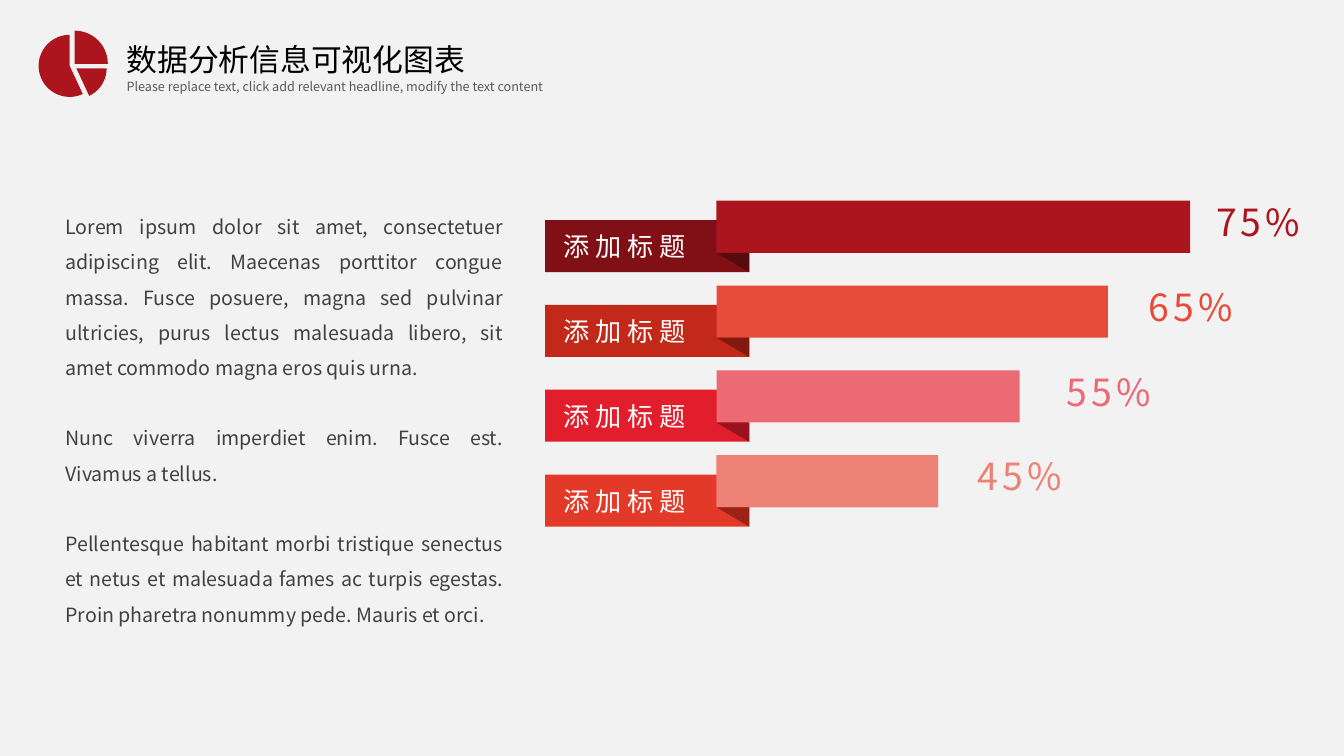
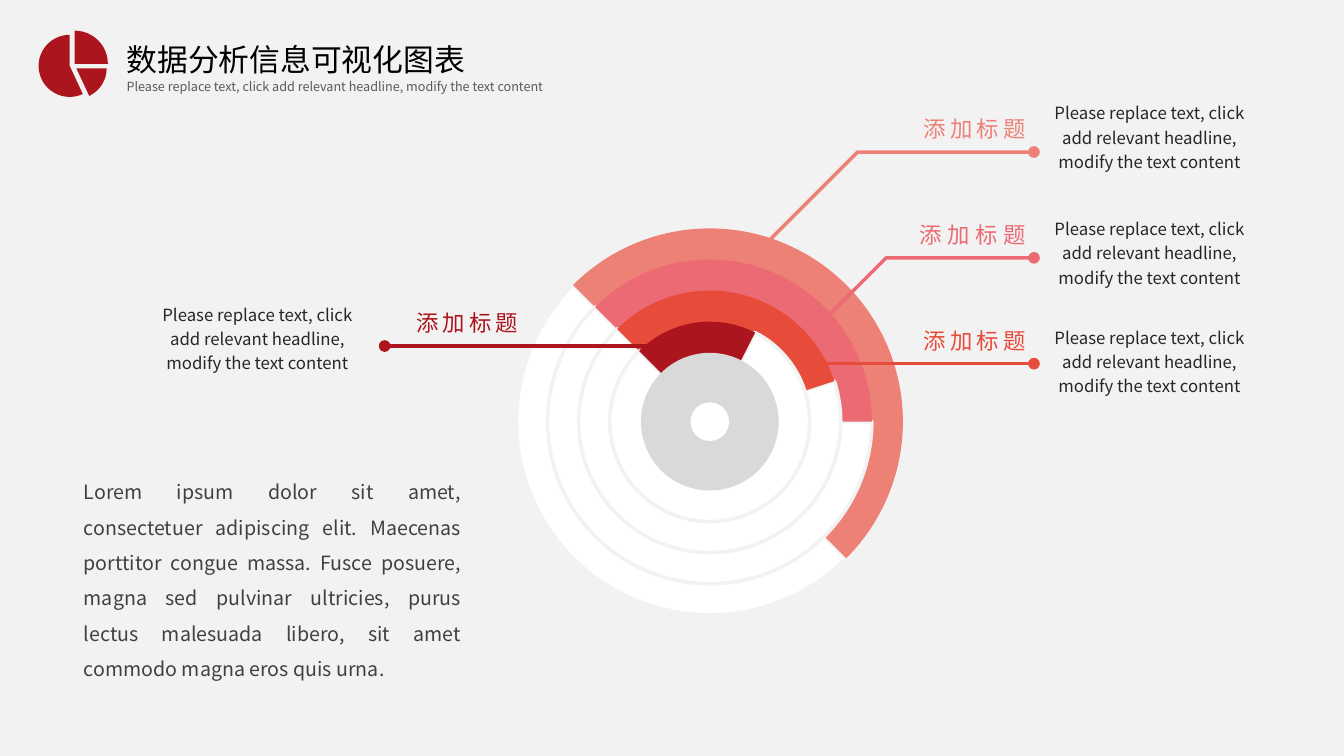
from lxml import etree
from pptx import Presentation
from pptx.dml.color import RGBColor
from pptx.enum.shapes import MSO_CONNECTOR, MSO_SHAPE
from pptx.enum.text import MSO_ANCHOR, PP_ALIGN
from pptx.oxml.ns import qn
from pptx.util import Inches, Pt

RECT, OVAL, PIE = MSO_SHAPE.RECTANGLE, MSO_SHAPE.OVAL, MSO_SHAPE.PIE
STRAIGHT = MSO_CONNECTOR.STRAIGHT
LEFT, CENTER, RIGHT, JUSTIFY = PP_ALIGN.LEFT, PP_ALIGN.CENTER, PP_ALIGN.RIGHT, PP_ALIGN.JUSTIFY
TOP, MIDDLE = MSO_ANCHOR.TOP, MSO_ANCHOR.MIDDLE

SLIDE_W, SLIDE_H = Inches(13.333), Inches(7.5)
COLUMNS = 160
CELL = SLIDE_W / COLUMNS
FONT = "Noto Sans CJK SC"

BACKGROUND, WHITE, BLACK, HUB = "F2F2F2", "FFFFFF", "000000", "D9D9D9"
SUBTITLE, BODY, NOTE = "595959", "404040", "262626"
CRIMSON, ORANGE, ROSE, SALMON = "AC151E", "E74C3B", "EC6A73", "ED8176"

TITLE = "数据分析信息可视化图表"
LABEL = "添加标题"
PROMPT = "Please replace text, click add relevant headline, modify the text content"
LOREM = (
    "Lorem ipsum dolor sit amet, consectetuer adipiscing elit. Maecenas porttitor congue "
    "massa. Fusce posuere, magna sed pulvinar ultricies, purus lectus malesuada libero, "
    "sit amet commodo magna eros quis urna.",
    "Nunc viverra imperdiet enim. Fusce est. Vivamus a tellus.",
    "Pellentesque habitant morbi tristique senectus et netus et malesuada fames ac turpis "
    "egestas. Proin pharetra nonummy pede. Mauris et orci.",
)


def rgb(color):
    """Turn a hex string into a colour."""
    return RGBColor.from_string(color)


def cells(*lengths):
    """Turn grid cells into slide lengths."""
    return [round(length * CELL) for length in lengths]


def paint(shape, fill=None, line=None, width=2.5):
    """Set the fill and line of a shape and remove its shadow."""
    shape.shadow.inherit = False
    if fill:
        shape.fill.solid()
        shape.fill.fore_color.rgb = rgb(fill)
    else:
        shape.fill.background()
    if line:
        shape.line.color.rgb = rgb(line)
        shape.line.width = Pt(width)
    else:
        shape.line.fill.background()
    return shape


def block(slide, kind, box, fill, line=None):
    """Add a preset shape in a box of left, top, width and height."""
    return paint(slide.shapes.add_shape(kind, *cells(*box)), fill, line)


def wedge(slide, center, radius, start, end, fill, line=None):
    """Add a sector running clockwise between two angles in degrees."""
    x, y = center
    box = (x - radius, y - radius, 2 * radius, 2 * radius)
    sector = block(slide, PIE, box, fill, line)
    for index, angle in enumerate((start, end)):
        sector.adjustments[index] = angle % 360 * 0.6
    return sector


def disc(slide, center, radius, fill):
    """Add a circle about its centre."""
    x, y = center
    return block(slide, OVAL, (x - radius, y - radius, 2 * radius, 2 * radius), fill)


def outline(slide, points, close):
    """Add a freeform through points."""
    corners = [tuple(cells(*point)) for point in points]
    builder = slide.shapes.build_freeform(*corners[0])
    builder.add_line_segments(corners[1:], close=close)
    return builder.convert_to_shape()


def leader(slide, points, color):
    """Add a straight or bent line through points."""
    if len(points) > 2:
        paint(outline(slide, points, False), line=color)
        return
    line = slide.shapes.add_connector(STRAIGHT, *cells(*points[0], *points[1]))
    line.line.color.rgb = rgb(color)
    line.line.width = Pt(2.5)
    etree.SubElement(line._element.spPr, qn("a:effectLst"))


def write(shape, *paragraphs, size, color, align=LEFT, anchor=TOP, wrap=True,
          leading=1, gap=0, tracking=0):
    """Fill a shape with formatted paragraphs."""
    frame = shape.text_frame
    frame.word_wrap = wrap
    frame.vertical_anchor = anchor
    for index, text in enumerate(paragraphs):
        paragraph = frame.add_paragraph() if index else frame.paragraphs[0]
        paragraph.alignment = align
        paragraph.line_spacing = leading
        if index:
            paragraph.space_before = Pt(gap)
        run = paragraph.add_run()
        run.text = text
        run.font.size = Pt(size)
        run.font.color.rgb = rgb(color)
        run.font.name = FONT
        properties = run._r.get_or_add_rPr()
        etree.SubElement(properties, qn("a:ea"), typeface=FONT)
        if tracking:
            properties.set("spc", str(tracking * 100))
    return frame


def text_box(slide, box, *paragraphs, **style):
    """Add a text box in a box of left, top, width and height."""
    return write(slide.shapes.add_textbox(*cells(*box)), *paragraphs, **style)


def header(slide, box):
    """Place the pie emblem, the title and the subtitle."""
    x, y, width, _ = box
    for dx, dy, radius, start, end in (
        (3.5, 4.25, 3.7, 65, 270),
        (4.1, 4, 3.95, 270, 360),
        (4.3, 4.55, 3.6, 0, 65),
    ):
        wedge(slide, (x + dx, y + dy), radius, start, end, CRIMSON)
    text_width = width - 9.1
    text_box(slide, (x + 9.1, y + 0.6, text_width, 5.6), TITLE, size=22, color=BLACK)
    text_box(slide, (x + 9.1, y + 5.2, text_width, 3), PROMPT, size=9, color=SUBTITLE)


def body(slide, box, *paragraphs):
    """Place the justified running text."""
    text_box(slide, box, *paragraphs, size=14, color=BODY, align=JUSTIFY,
             leading=1.5, gap=25)


def ribbon_bars(slide, box, rows):
    """Place folded ribbon bars, each with a tag and a percentage."""
    x, y, _, height = box
    pitch = height / len(rows)
    thick, drop, tag_width, bar_left = 6.2, 2.3, 24.3, 20.4
    for index, (value, length, value_left, tag_color, color, fold_color) in enumerate(rows):
        top = y + index * pitch
        tag = block(slide, RECT, (x, top + drop, tag_width, thick), tag_color)
        frame = write(tag, LABEL, size=18.7, color=WHITE, align=CENTER, anchor=MIDDLE,
                      wrap=False, tracking=4)
        frame.margin_left, frame.margin_right = cells(0, 5.4)
        block(slide, RECT, (x + bar_left, top, length, thick), color)
        fold = ((x + bar_left, top + thick), (x + tag_width, top + thick),
                (x + tag_width, top + thick + drop))
        paint(outline(slide, fold, True), fold_color)
        text_box(slide, (x + value_left, top - 0.8, 13.2, 6.6), value, size=26.7,
                 color=color, align=CENTER, wrap=False, tracking=3)


def ring_chart(slide, box, rings):
    """Place concentric rings, outermost first, around a hub."""
    x, y, width, height = box
    center = (x + width / 2, y + height / 2)
    start, step = 225, 3.7
    for index, (sweep, color) in enumerate(rings):
        radius = width / 2 - index * step
        wedge(slide, center, radius, start + sweep, start, WHITE, BACKGROUND)
        wedge(slide, center, radius, start, start + sweep, color)
    disc(slide, center, width / 2 - len(rings) * step, HUB)
    disc(slide, center, 2.3, WHITE)


def callout(slide, dot, route, color, label_dx, note_dx, note_dy, tracking=3):
    """Place a leader ending in a dot, with its label and note."""
    x, y = dot
    leader(slide, [(x + dx, y + dy) for dx, dy in route] + [dot], color)
    disc(slide, dot, 0.7, color)
    text_box(slide, (x + label_dx, y - 5, 15.3, 4.4), LABEL, size=16, color=color,
             align=RIGHT, wrap=False, tracking=tracking)
    text_box(slide, (x + note_dx, y + note_dy, 28.9, 9.7), PROMPT, size=12, color=NOTE,
             align=CENTER, leading=1.2)


def new_slide(deck):
    """Add a blank slide with the shared header."""
    slide = deck.slides.add_slide(deck.slide_layouts[6])
    header(slide, (4.8, 3.6, 69.6, 8.2))
    return slide


def bar_slide(deck):
    """Build the slide of ribbon bars."""
    slide = new_slide(deck)
    body(slide, (6.6, 23.6, 54.5, 55.8), *LOREM)
    ribbon_bars(slide, (64.9, 23.9, 91.5, 40.4), (
        ("75%", 56.4, 78.3, "811016", CRIMSON, "560B0F"),
        ("65%", 46.6, 70.3, "C22918", ORANGE, "811B10"),
        ("55%", 36.1, 60.5, "E21E2C", ROSE, "98131C"),
        ("45%", 26.4, 49.9, "E33928", SALMON, "9D2115"),
    ))


def ring_slide(deck):
    """Build the slide of concentric rings."""
    slide = new_slide(deck)
    body(slide, (8.8, 55.2, 47.3, 26.2), LOREM[0])
    ring_chart(slide, (61.5, 27.2, 46, 46),
               ((180, SALMON), (135, ROSE), (117, ORANGE), (72, CRIMSON)))
    right_x, right_y, pitch = 123.1, 18.1, 12.6
    for index, (route, color, note_dy, tracking) in enumerate((
        (((-31.9, 10.9), (-21, 0)), SALMON, -6.9, 3),
        (((-25.5, 7.9), (-17.6, 0)), ROSE, -5.7, 4),
        (((-26.1, 0),), ORANGE, -5.4, 3),
    )):
        callout(slide, (right_x, right_y + index * pitch), route, color,
                -15.1, -0.7, note_dy, tracking)
    callout(slide, (45.8, 41.2), ((41, 0),), CRIMSON, 1.8, -29.6, -6)


def main():
    """Build and save the deck."""
    deck = Presentation()
    deck.slide_width, deck.slide_height = SLIDE_W, SLIDE_H
    backdrop = deck.slide_master.background.fill
    backdrop.solid()
    backdrop.fore_color.rgb = rgb(BACKGROUND)
    bar_slide(deck)
    ring_slide(deck)
    deck.save("out.pptx")


if __name__ == "__main__":
    main()
